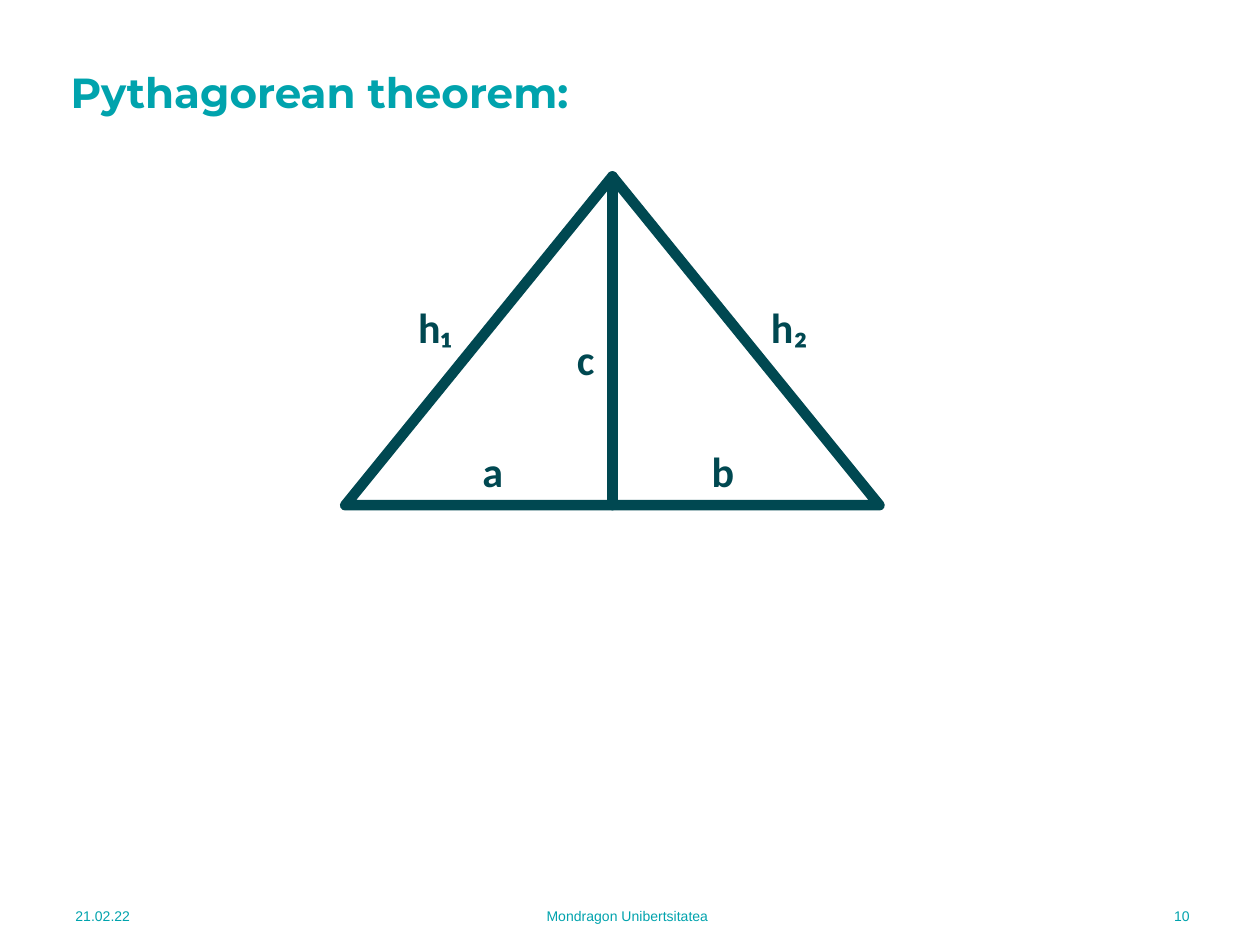
from lxml import etree
from pptx import Presentation
from pptx import util as u
from pptx.dml.color import RGBColor
from pptx.enum import shapes, text
from pptx.oxml.ns import qn

COLOURS = {"accent": "00A3AD", "ink": "004851"}
ALIGN = text.PP_ALIGN


class SlideBuilder:
    def __init__(self, deck):
        self.page = deck.slides.add_slide(deck.slide_layouts[5])
        self.figure = self.page.shapes.add_group_shape()

    def colour(self, name):
        return RGBColor.from_string(COLOURS[name])

    def fill_text(self, box, words, font, size, colour, bold=False, align=ALIGN.LEFT):
        frame = box.text_frame
        frame.text = words
        frame.word_wrap = True
        para = frame.paragraphs[0]
        para.alignment = align
        style = para.runs[0].font
        style.name, style.size, style.bold = font, u.Pt(size), bold
        style.color.rgb = self.colour(colour)
        return para

    def title(self, words, *place):
        box = self.page.shapes.title
        box.left, box.top, box.width, box.height = map(u.Inches, place)
        para = self.fill_text(box, words, "Montserrat", 24, "accent", bold=True)
        para.line_spacing = 0.9
        box.text_frame.auto_size = text.MSO_AUTO_SIZE.NONE
        box.text_frame.vertical_anchor = text.MSO_ANCHOR.MIDDLE

    def footer(self, words, left, width, align):
        box = self.page.shapes.add_textbox(*map(u.Inches, (left, 7.07, width, 0.4)))
        para = self.fill_text(box, words, "Arial", 8, "accent", align=align)
        para.space_after = u.Pt(6)
        box.text_frame.vertical_anchor = text.MSO_ANCHOR.MIDDLE

    def outline(self, item):
        item.line.color.rgb = self.colour("ink")
        item.line.width = u.Pt(6)
        line = item._element.spPr.find(qn("a:ln"))
        line.set("cap", "rnd")
        etree.SubElement(line, qn("a:round"))

    def triangle(self, left, top, width, height):
        shape = self.figure.shapes.add_shape(
            shapes.MSO_SHAPE.ISOSCELES_TRIANGLE,
            *map(u.Inches, (left, top, width, height)))
        shape.shadow.inherit = False
        shape.fill.background()
        self.outline(shape)

    def segment(self, *ends):
        line = self.figure.shapes.add_connector(
            shapes.MSO_CONNECTOR.STRAIGHT, *map(u.Inches, ends))
        self.outline(line)
        etree.SubElement(line._element.spPr, qn("a:effectLst"))

    def label(self, words, left, top, width):
        box = self.figure.shapes.add_textbox(*map(u.Inches, (left, top, width, 0.5)))
        self.fill_text(box, words, "Calibri", 24, "ink", bold=True)
        box.text_frame.auto_size = text.MSO_AUTO_SIZE.SHAPE_TO_FIT_TEXT


def main():
    deck = Presentation()
    deck.slide_width, deck.slide_height = u.Inches(10), u.Inches(7.5)
    slide = SlideBuilder(deck)

    for words, left, width, align in (
        ("21.02.22", 0.5, 1.29, ALIGN.LEFT),
        ("Mondragon Unibertsitatea", 2.37, 5.22, ALIGN.CENTER),
        ("10", 8.26, 1.28, ALIGN.RIGHT),
    ):
        slide.footer(words, left, width, align)

    slide.title("Pythagorean theorem:", 0.46, 0.52, 8.38, 0.47)

    left, top, width, height = 2.74, 1.4, 4.24, 2.61
    middle = left + width / 2
    slide.triangle(left, top, width, height)
    slide.segment(middle, top, middle, top + height)

    for words, x, y, size in (
        ("a", 3.73, 3.49, 0.51),
        ("b", 5.55, 3.49, 0.51),
        ("c", 4.48, 2.6, 0.51),
        ("h₁", 3.22, 2.34, 0.71),
        ("h₂", 6.02, 2.34, 0.64),
    ):
        slide.label(words, x, y, size)

    deck.save("out.pptx")


if __name__ == "__main__":
    main()
